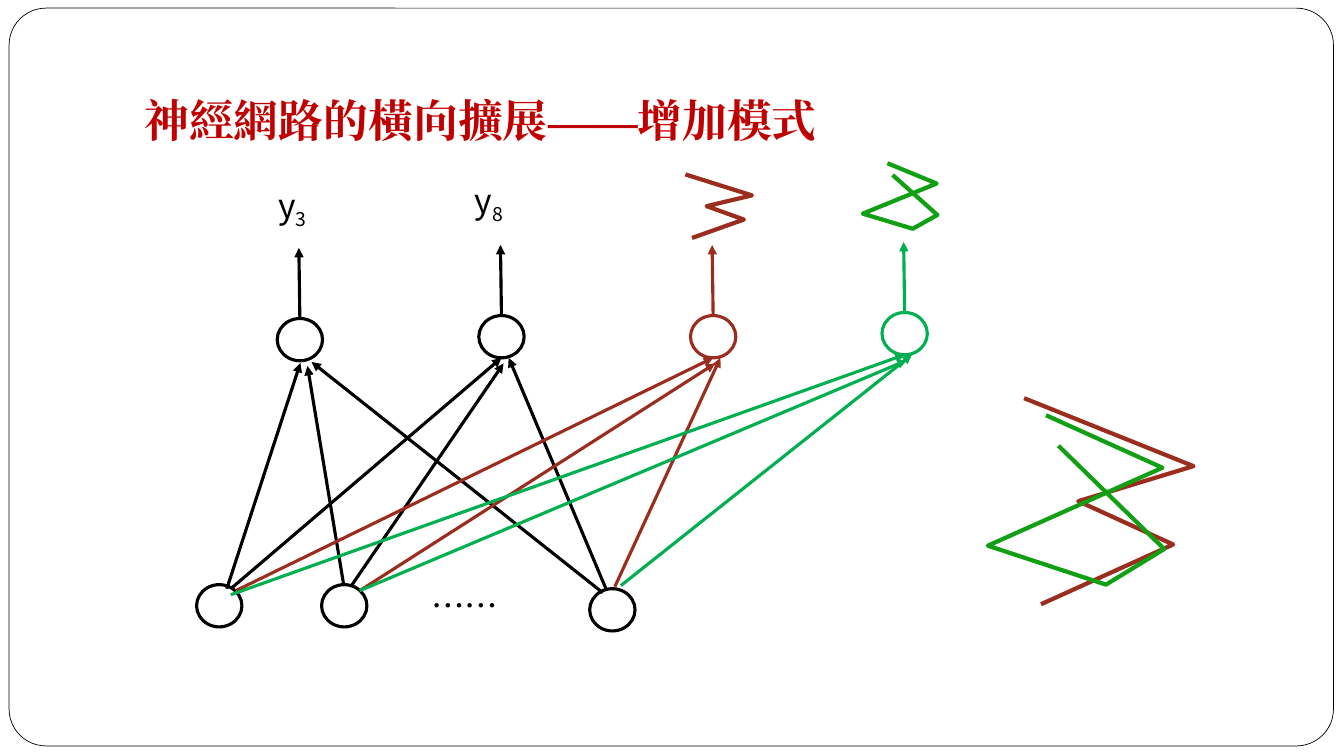
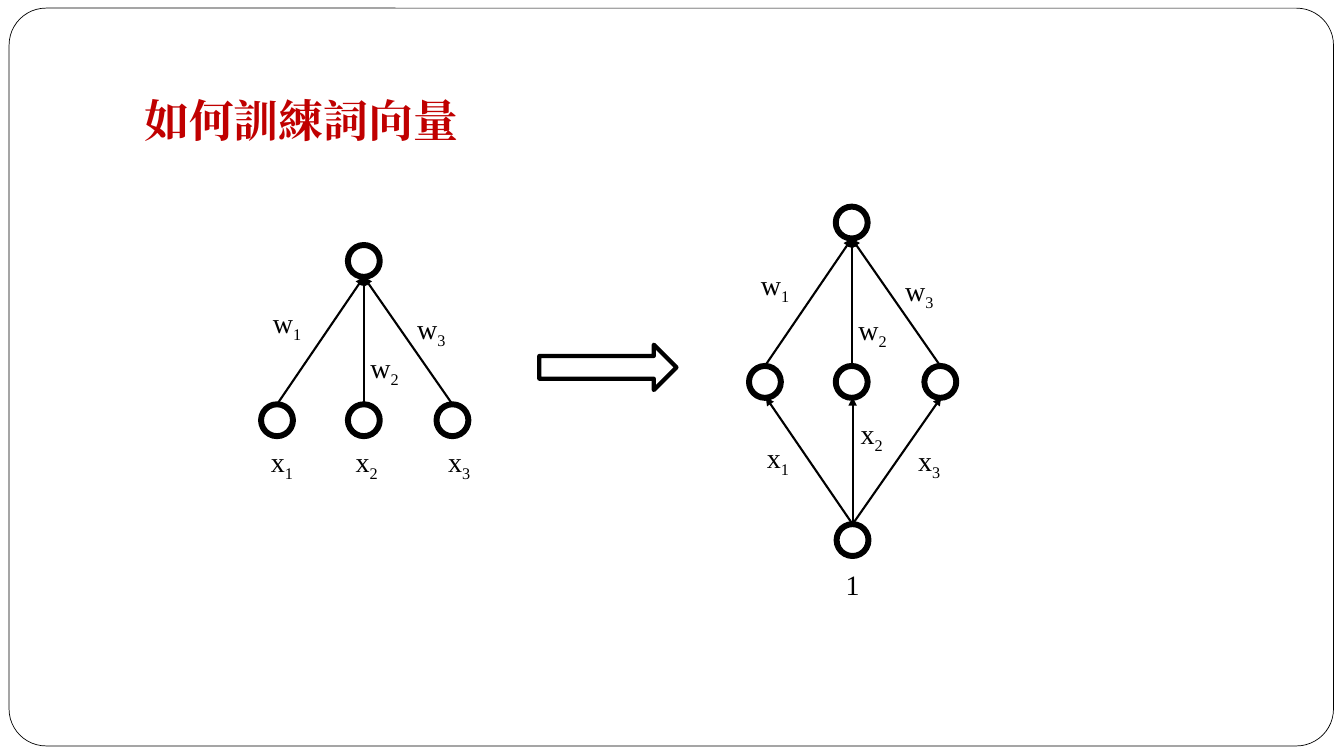
from lxml.etree import SubElement
from pptx import Presentation
from pptx.dml.color import RGBColor
from pptx.enum.shapes import MSO_CONNECTOR, MSO_SHAPE
from pptx.enum.text import MSO_ANCHOR, PP_ALIGN
from pptx.oxml.ns import qn
from pptx.util import Pt

COLORS = {
    "ink": "000000",
    "paper": "FFFFFF",
    "title": "C00000",
    "red": "9B2D1F",
    "green": "00B050",
    "bright_green": "119F14",
}
SERIF = "Times New Roman"
SANS = "Noto Sans CJK SC"

# Outlines as fractions of the box they are drawn in
RED_PATTERN = [(0, 0), (1, 0.33), (0.32, 0.5), (0.88, 0.71), (0.1, 1)]
GREEN_PATTERN = [(0.33, 0), (0.99, 0.31), (0, 0.77), (0.67, 1), (1, 0.79), (0.4, 0.18)]


def rgb(name):
    return RGBColor.from_string(COLORS[name])


def set_outline(shape, color, weight):
    shape.line.color.rgb = rgb(color)
    shape.line.width = Pt(weight)


def add_outlined(slide, kind, left, top, width, height, color, weight):
    shape = slide.shapes.add_shape(kind, Pt(left), Pt(top), Pt(width), Pt(height))
    shape.shadow.inherit = False
    shape.fill.background()
    set_outline(shape, color, weight)
    return shape


def add_arrow(slide, start, end, color="ink", weight=1.5):
    points = [Pt(value) for value in (*start, *end)]
    arrow = slide.shapes.add_connector(MSO_CONNECTOR.STRAIGHT, *points)
    set_outline(arrow, color, weight)
    SubElement(arrow.line._get_or_add_ln(), qn("a:tailEnd"), type="triangle")
    SubElement(arrow._element.spPr, qn("a:effectLst"))


def add_run(paragraph, text, font_name, size, color, bold=False, subscript=False):
    run = paragraph.add_run()
    run.text = text
    run.font.size = Pt(size)
    run.font.bold = bold
    run.font.color.rgb = rgb(color)
    run.font.name = font_name
    properties = run._r.get_or_add_rPr()
    SubElement(properties, qn("a:ea"), typeface=font_name)
    if subscript:
        properties.set("baseline", "-25000")


def add_label(slide, left, top, text, subscript="", font_name=SERIF, size=20, width=41):
    box = slide.shapes.add_textbox(Pt(left), Pt(top), Pt(width), Pt(32))
    box.text_frame.word_wrap = True
    paragraph = box.text_frame.paragraphs[0]
    paragraph.alignment = PP_ALIGN.LEFT
    add_run(paragraph, text, font_name, size, "ink")
    if subscript:
        add_run(paragraph, subscript, font_name, size, "ink", subscript=True)


def add_framed_slide(presentation, title):
    """Add a blank slide with the rounded frame and the title."""
    slide = presentation.slides.add_slide(presentation.slide_layouts[6])
    frame = add_outlined(slide, MSO_SHAPE.ROUNDED_RECTANGLE, 6.5, 5.8, 946, 527, "ink", 0.5)
    frame.adjustments[0] = 0.05
    frame.fill.solid()
    frame.fill.fore_color.rgb = rgb("paper")
    box = slide.shapes.add_textbox(Pt(96), Pt(21.6), Pt(816), Pt(90))
    text_frame = box.text_frame
    text_frame.word_wrap = True
    text_frame.vertical_anchor = MSO_ANCHOR.BOTTOM
    text_frame.margin_bottom = Pt(7.2)
    add_run(text_frame.paragraphs[0], title, SERIF, 32, "title", bold=True)
    return slide


def add_pattern(slide, fractions, left, top, width, height, color):
    """Draw an open outline scaled to the given box."""
    points = [(Pt(left + x * width), Pt(top + y * height)) for x, y in fractions]
    builder = slide.shapes.build_freeform(*points[0], scale=1.0)
    builder.add_line_segments(points[1:], close=False)
    pattern = builder.convert_to_shape()
    pattern.shadow.inherit = False
    pattern.fill.background()
    set_outline(pattern, color, 3)


def add_wide_network(slide, left, top):
    """Three inputs, each joined to four outputs that point upwards."""
    node_width, node_height, weight = 32.4, 30.2, 2.25
    tips = [(0, 0), (1.5, 4), (5.2, 0)]
    # Colour, top centre of the node, arrow starts, arrow tips below the node
    outputs = [
        ("ink", (74.2, 112.5), [(22, 305.5), (105.5, 302.6), (290.6, 308.4)],
         [(0.4, 1.5), (5.4, 3.7), (8.3, 0.8)]),
        ("ink", (218.2, 110.4), [(24.9, 305.5), (110.6, 304), (293.4, 306.9)], tips),
        ("red", (369.4, 110.4), [(28.5, 306.9), (117, 306.9), (299.2, 304)], tips),
        ("green", (506.2, 108.2), [(24.9, 309.8), (117, 306.9), (303.5, 303.3)], tips),
    ]
    for x, y in [(0.4, 302.6), (89.7, 302.6), (281.2, 305.5)]:
        add_outlined(slide, MSO_SHAPE.OVAL, left + x, top + y,
                     node_width, node_height, "ink", weight)
    for x, y, text, subscript in [(51.5, 13.2, "y", "3"), (192, 9.6, "y", "8"),
                                  (161, 299, "……", "")]:
        add_label(slide, left + x, top + y, text, subscript, SANS, 24, 90)
    for color, (x, y), starts, ends in outputs:
        center, node_top = left + x, top + y
        add_outlined(slide, MSO_SHAPE.OVAL, center - node_width / 2, node_top,
                     node_width, node_height, color, weight)
        add_arrow(slide, (center, node_top), (center - 0.7, node_top - 50.4), color, weight)
        for (start_x, start_y), (end_x, end_y) in zip(starts, ends):
            add_arrow(slide, (left + start_x, top + start_y),
                      (center + end_x, node_top + node_height + end_y), color, weight)


NODE = 22.8
FAN_X = [0, 62, 125.3]
FAN_BASE = 113.8


def add_node(slide, left, top):
    add_outlined(slide, MSO_SHAPE.OVAL, left, top, NODE, NODE, "ink", 4.25)


def add_numbered_labels(slide, left, top, letter, places):
    for number, (x, y) in enumerate(places, start=1):
        add_label(slide, left + x, top + y, letter, str(number))


def add_weight_fan(slide, left, top):
    """Three nodes in a row, with weighted arrows to one node above."""
    apex = left + FAN_X[1]
    add_node(slide, apex, top)
    for x in FAN_X:
        add_node(slide, left + x, top + FAN_BASE)
        add_arrow(slide, (left + x + NODE / 2, top + FAN_BASE),
                  (apex + NODE / 2, top + NODE))
    add_numbered_labels(slide, left, top, "w", [(1.4, 39.6), (71, 72), (104.4, 43.9)])


def add_single_input_fan(slide, left, top):
    """A weight fan whose three nodes are fed from one node below."""
    add_weight_fan(slide, left, top)
    source_x, source_y = left + FAN_X[1] + 0.6, top + 2 * FAN_BASE - 0.8
    add_node(slide, source_x, source_y)
    for x in FAN_X:
        add_arrow(slide, (source_x + NODE / 2, source_y),
                  (left + x + NODE / 2 + 0.6, top + FAN_BASE + NODE - 0.5))
    add_numbered_labels(slide, left, top, "x", [(5.7, 163.4), (72.7, 146.2), (113.7, 165.6)])
    add_label(slide, source_x - 0.7, source_y + 27.4, "1")


def build_expansion_slide(presentation):
    slide = add_framed_slide(presentation, "神經網路的橫向擴展——增加模式")
    add_wide_network(slide, 140, 115)
    add_pattern(slide, RED_PATTERN, 489.6, 124.6, 47.5, 45.4, "red")
    add_pattern(slide, GREEN_PATTERN, 616.3, 116.6, 53.3, 46.8, "bright_green")
    add_pattern(slide, RED_PATTERN, 731.5, 284.4, 121, 147.2, "red")
    add_pattern(slide, GREEN_PATTERN, 705.6, 296.6, 126, 121, "bright_green")


def build_training_slide(presentation):
    slide = add_framed_slide(presentation, "如何訓練詞向量")
    add_weight_fan(slide, 186.5, 175)
    add_numbered_labels(slide, 186.5, 175, "x", [(0, 139), (60.5, 139), (126.5, 139)])
    add_outlined(slide, MSO_SHAPE.RIGHT_ARROW, 385.2, 246.2, 98, 32.4, "ink", 3)
    add_single_input_fan(slide, 535, 147.6)


def main():
    presentation = Presentation()
    presentation.slide_width = Pt(960)
    presentation.slide_height = Pt(540)
    build_expansion_slide(presentation)
    build_training_slide(presentation)
    presentation.save("out.pptx")


if __name__ == "__main__":
    main()
